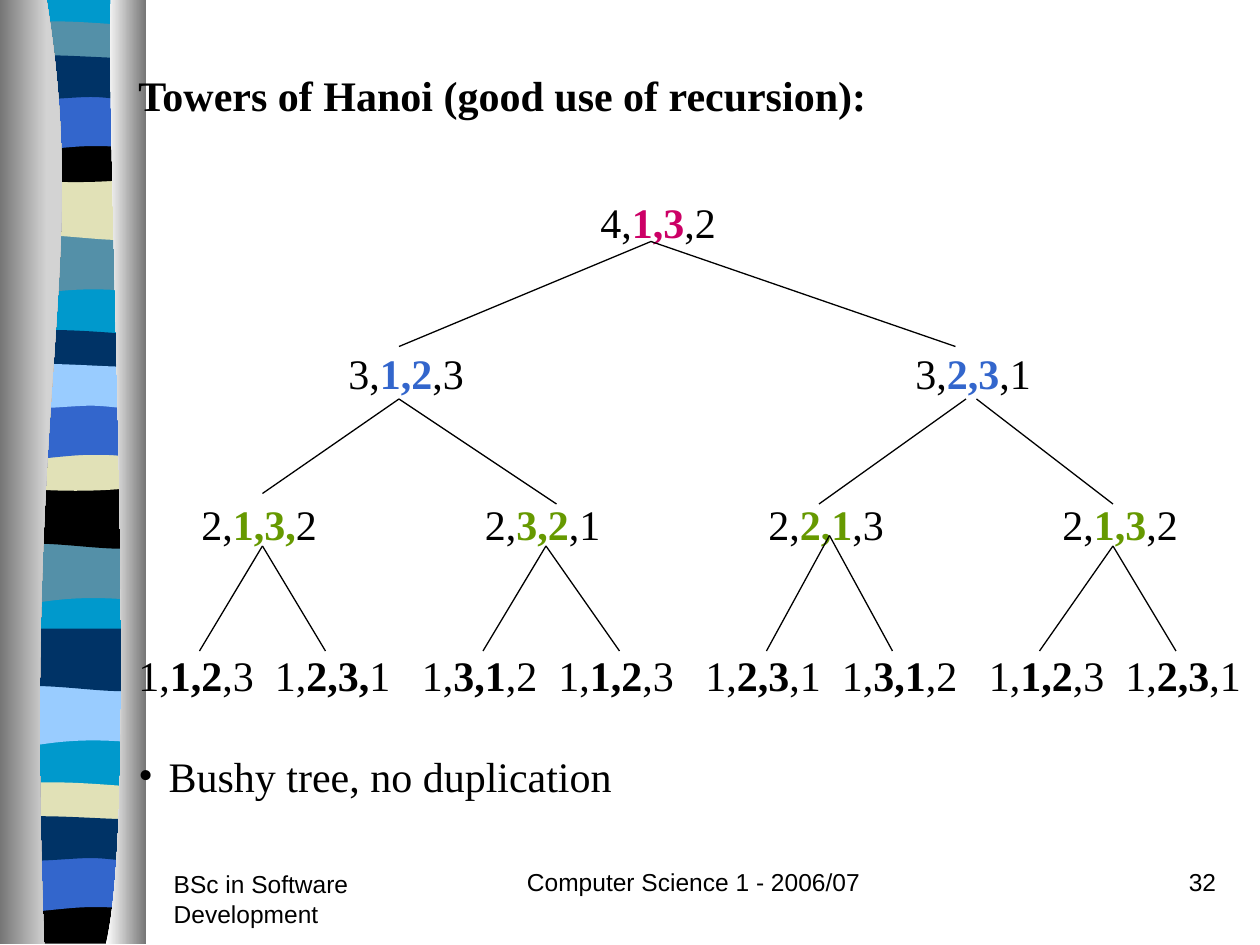
from dataclasses import dataclass

from lxml.etree import SubElement
from pptx import Presentation
from pptx.dml.color import RGBColor
from pptx.enum.shapes import MSO_CONNECTOR
from pptx.enum.text import PP_ALIGN
from pptx.oxml.ns import qn
from pptx.util import Inches, Pt


@dataclass(frozen=True)
class Theme:
    black: str = "000000"
    blue: str = "3366CC"
    navy: str = "003366"
    cyan: str = "0099CC"
    slate: str = "5490A8"
    sand: str = "E1E1B7"
    sky: str = "99CCFF"
    magenta: str = "CC0066"
    green: str = "669900"
    steel: str = "767676"
    silver: str = "D3D3D3"
    white: str = "FFFFFF"
    body_font: str = "Times New Roman"
    footer_font: str = "Arial"
    body_size: int = 24
    footer_size: int = 14
    line_width: float = 0.75
    line_height: float = 28.8
    title_gap: float = 15


THEME = Theme()
GRID = 1 / 12          # one grid column or row, in inches
BODY_BOX = (1, 0.5, 9, 5.91)

# Outlines: two numbers are a corner, six are a cubic curve.
SLATE_WAVE = [(1.14, 1.85), (1.14, 2.32), (0.39, 2.24, 0.24, 2.4, 0.06, 2.32), (0.06, 1.85)]
SAND_WAVE = [(1.14, 1.41), (1.14, 1.88), (0.96, 1.96, 0.39, 1.82, 0.06, 1.88), (0.06, 1.41)]
THIN_WAVE = [(1.14, 0.21), (1.14, 0.45), (0.96, 0.49, 0.24, 0.49, 0.06, 0.45), (0.06, 0.21),
             (0.12, 0.16, 0.29, 0.17, 0.47, 0.17), (0.65, 0.17, 1, 0.2, 1.14, 0.21)]
CUPPED_WAVE = [(1.14, 1.08), (1.14, 1.4), (0.96, 1.46, 0.24, 1.46, 0.06, 1.4), (0.06, 1.08),
               (0.72, 1.13, 0.91, 1.08, 1.14, 1.08)]
ARCHED_WAVE = [(1.14, 0.74), (1.14, 1.21), (0.97, 1.16, 0.9, 1.16, 0.72, 1.16),
               (0.54, 1.16, 0.22, 1.21, 0.06, 1.21), (0.06, 0.74)]
DOUBLE_WAVE = [(1.14, 0.46), (1.14, 0.77), (1.07, 0.82, 0.9, 0.77, 0.72, 0.77),
               (0.54, 0.77, 0.17, 0.82, 0.06, 0.77), (0.06, 0.46),
               (0.21, 0.41, 0.79, 0.46, 0.97, 0.46)]
FOOT_WAVE = [(1.14, 1.08), (1.14, 1.45), (0.06, 1.45), (0.06, 1.08),
             (0.72, 1.13, 0.91, 1.08, 1.14, 1.08)]
RIBBON = [(1.14, 0), (1.14, 7.47), (0.06, 7.47), (0.06, 0)]
LEFT_PILLAR = [(0.37, 0), (0.72, 2.16, 0.18, 2.96, 0.35, 7.49), (0, 7.49), (0, 0)]
RIGHT_PILLAR = [(0.88, 0), (0.84, 1.25, 1.11, 6.46, 0.84, 7.49), (1.16, 7.49), (1.16, 0)]

# Each group repeats the waves further down: offset, then wave and colour.
WAVE_GROUPS = [
    (0, [(SLATE_WAVE, THEME.slate), (SAND_WAVE, THEME.sand), (THIN_WAVE, THEME.slate),
         (CUPPED_WAVE, THEME.black), (ARCHED_WAVE, THEME.blue), (DOUBLE_WAVE, THEME.navy)]),
    (2.45, [(SLATE_WAVE, THEME.slate), (SAND_WAVE, THEME.black), (THIN_WAVE, THEME.navy),
            (CUPPED_WAVE, THEME.sand), (ARCHED_WAVE, THEME.blue), (DOUBLE_WAVE, THEME.sky)]),
    (3.58, [(SLATE_WAVE, THEME.sky), (SAND_WAVE, THEME.navy)]),
    (6.04, [(THIN_WAVE, THEME.sand), (FOOT_WAVE, THEME.black),
            (ARCHED_WAVE, THEME.blue), (DOUBLE_WAVE, THEME.navy)]),
]

# Levels of the call tree: colour of the bold pair, then grid column and label.
# Columns count from the left edge of the body text.
LEVELS = [
    (THEME.magenta, [(44, "4,|1,3|,2")]),
    (THEME.blue, [(20, "3,|1,2|,3"), (74, "3,|2,3|,1")]),
    (THEME.green, [(6, "2,|1,3,|2"), (33, "2,|3,2|,1"), (60, "2,|2,1|,3"), (88, "2,|1,3|,2")]),
    (THEME.black, [(0, "1,|1,2|,3"), (13, "1,|2,3,|1"), (27, "1,|3,1|,2"), (40, "1,|1,2|,3"),
                   (54, "1,|2,3|,1"), (67, "1,|3,1|,2"), (81, "1,|1,2|,3"), (94, "1,|2,3|,1")]),
]

# Parent end and child ends of the branches, as grid (column, row).
BRANCHES = [
    ((62, 23), [(38, 33), (91, 33)]),
    ((38, 38), [(25, 47), (53, 48)]),
    ((92, 38), [(78, 48)]),
    ((93, 38), [(106, 48)]),
    ((25, 52), [(19, 62), (31, 62)]),
    ((52, 52), [(46, 62), (59, 62)]),
    ((79, 51), [(73, 62), (85, 62)]),
    ((106, 52), [(99, 62), (112, 62)]),
]


def colour(value):
    return RGBColor.from_string(value)


def bend_segments(shape, outline, offset):
    """Turn the straight segments that stand for curves into cubic curves."""
    lines = list(shape._element.iter(qn("a:lnTo")))
    for line, segment in zip(lines, outline[1:]):
        if len(segment) == 2:
            continue
        line.tag = qn("a:cubicBezTo")
        for index, (x, y) in enumerate((segment[:2], segment[2:4])):
            point = SubElement(line, qn("a:pt"))
            point.set("x", str(Inches(x) - shape.left))
            point.set("y", str(Inches(y + offset) - shape.top))
            line.insert(index, point)


def add_outline(group, outline, *colours, offset=0):
    """Draw a closed outline; two colours make a left-to-right gradient."""
    start, *others = [(Inches(segment[-2]), Inches(segment[-1] + offset)) for segment in outline]
    builder = group.shapes.build_freeform(*start)
    builder.add_line_segments(others, close=True)
    shape = builder.convert_to_shape()
    bend_segments(shape, outline, offset)
    shape.shadow.inherit = False
    shape.line.fill.background()
    if len(colours) == 1:
        shape.fill.solid()
        shape.fill.fore_color.rgb = colour(colours[0])
        return
    shape.fill.gradient()
    shape.fill.gradient_angle = 0
    for stop, value in zip(shape.fill.gradient_stops, colours):
        stop.color.rgb = colour(value)


def add_frame(slide, box):
    frame = slide.shapes.add_textbox(*map(Inches, box)).text_frame
    frame.word_wrap = True
    return frame


def add_run(paragraph, text, value=THEME.black, bold=False,
            font=THEME.body_font, size=THEME.body_size):
    run = paragraph.add_run()
    run.text = text
    run.font.name, run.font.size, run.font.bold = font, Pt(size), bold
    run.font.color.rgb = colour(value)


def add_spaced_paragraph(frame, gap):
    paragraph = frame.add_paragraph()
    paragraph.space_before = Pt(gap)
    return paragraph


def add_level(frame, gap, accent, nodes):
    """Add one line of tree labels, each at its own tab stop."""
    paragraph = add_spaced_paragraph(frame, gap)
    tabs = SubElement(paragraph._p.get_or_add_pPr(), qn("a:tabLst"))
    for column, label in nodes:
        head, pair, tail = label.split("|")
        if column:
            tab = SubElement(tabs, qn("a:tab"))
            tab.set("pos", str(Inches(column * GRID)))
            tab.set("algn", "l")
            head = "\t" + head
        add_run(paragraph, head)
        add_run(paragraph, pair, accent, True)
        add_run(paragraph, tail)


def add_bullet(paragraph, indent):
    properties = paragraph._p.get_or_add_pPr()
    properties.set("marL", str(Inches(indent)))
    properties.set("indent", str(-Inches(indent)))
    SubElement(properties, qn("a:buFont")).set("typeface", THEME.body_font)
    SubElement(properties, qn("a:buChar")).set("char", "•")


def add_body(slide):
    frame = add_frame(slide, BODY_BOX)
    add_run(frame.paragraphs[0], "Towers of Hanoi (good use of recursion):", bold=True)
    gap = THEME.title_gap + THEME.line_height
    for accent, nodes in LEVELS:
        add_level(frame, gap, accent, nodes)
        gap = 2 * THEME.line_height
    conclusion = add_spaced_paragraph(frame, THEME.line_height)
    add_bullet(conclusion, 0.24)
    add_run(conclusion, "Bushy tree, no duplication")


def add_branch(slide, parent, child):
    ends = [Inches(position * GRID) for position in parent + child]
    connector = slide.shapes.add_connector(MSO_CONNECTOR.STRAIGHT, *ends)
    connector.line.color.rgb = colour(THEME.black)
    connector.line.width = Pt(THEME.line_width)
    SubElement(connector._element.spPr, qn("a:effectLst"))


def add_ribbon(slide):
    group = slide.shapes.add_group_shape()
    add_outline(group, RIBBON, THEME.cyan)
    for offset, waves in WAVE_GROUPS:
        for wave, value in waves:
            add_outline(group, wave, value, offset=offset)
    add_outline(group, LEFT_PILLAR, THEME.steel, THEME.silver)
    add_outline(group, RIGHT_PILLAR, THEME.white, THEME.steel)


def add_footers(slide):
    for box, text, align in [
        ((1.28, 6.85, 2.08, 0.5), "BSc in Software Development", PP_ALIGN.LEFT),
        ((3.92, 6.83, 3.17, 0.5), "Computer Science 1 - 2006/07", PP_ALIGN.CENTER),
        ((7.67, 6.83, 2.08, 0.5), "32", PP_ALIGN.RIGHT),
    ]:
        paragraph = add_frame(slide, box).paragraphs[0]
        paragraph.alignment = align
        add_run(paragraph, text, font=THEME.footer_font, size=THEME.footer_size)


def main():
    presentation = Presentation()
    presentation.slide_width, presentation.slide_height = Inches(10), Inches(7.5)
    slide = presentation.slides.add_slide(presentation.slide_layouts[6])
    add_ribbon(slide)
    add_footers(slide)
    add_body(slide)
    for parent, children in BRANCHES:
        for child in children:
            add_branch(slide, parent, child)
    presentation.save("out.pptx")


if __name__ == "__main__":
    main()
